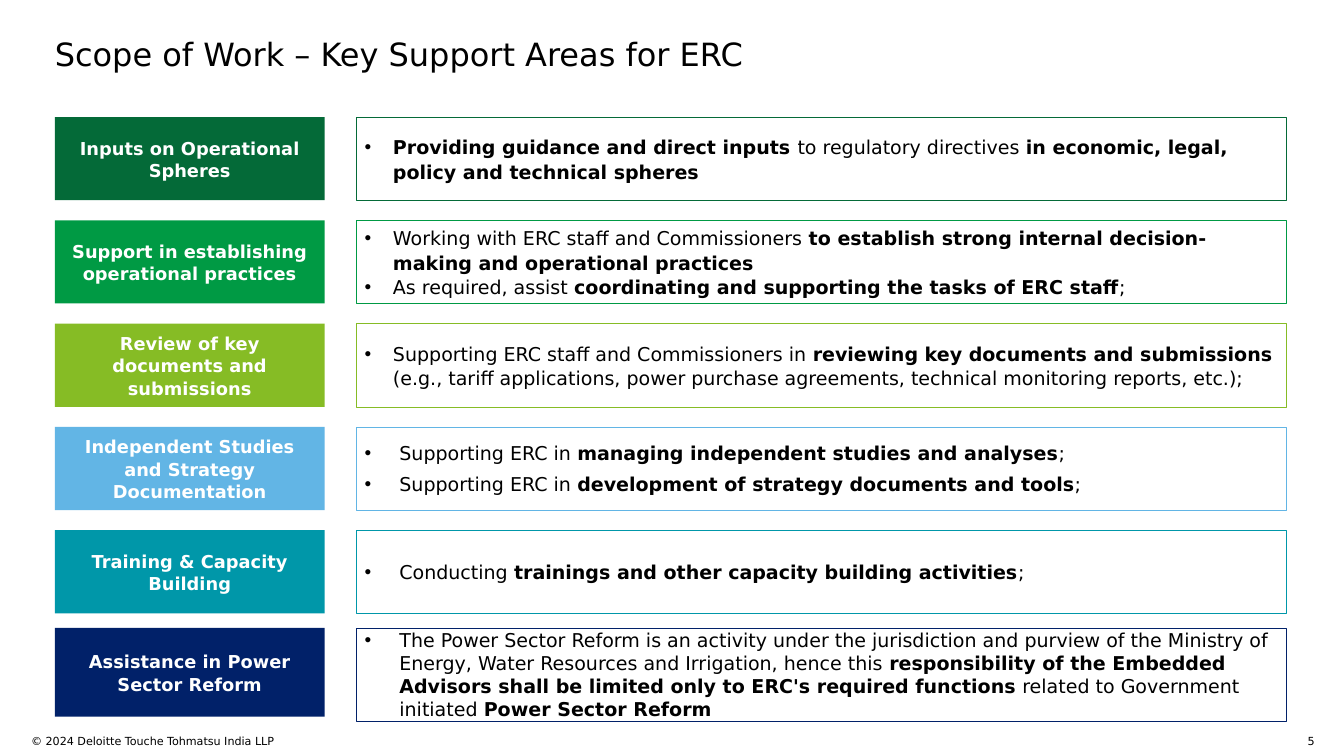
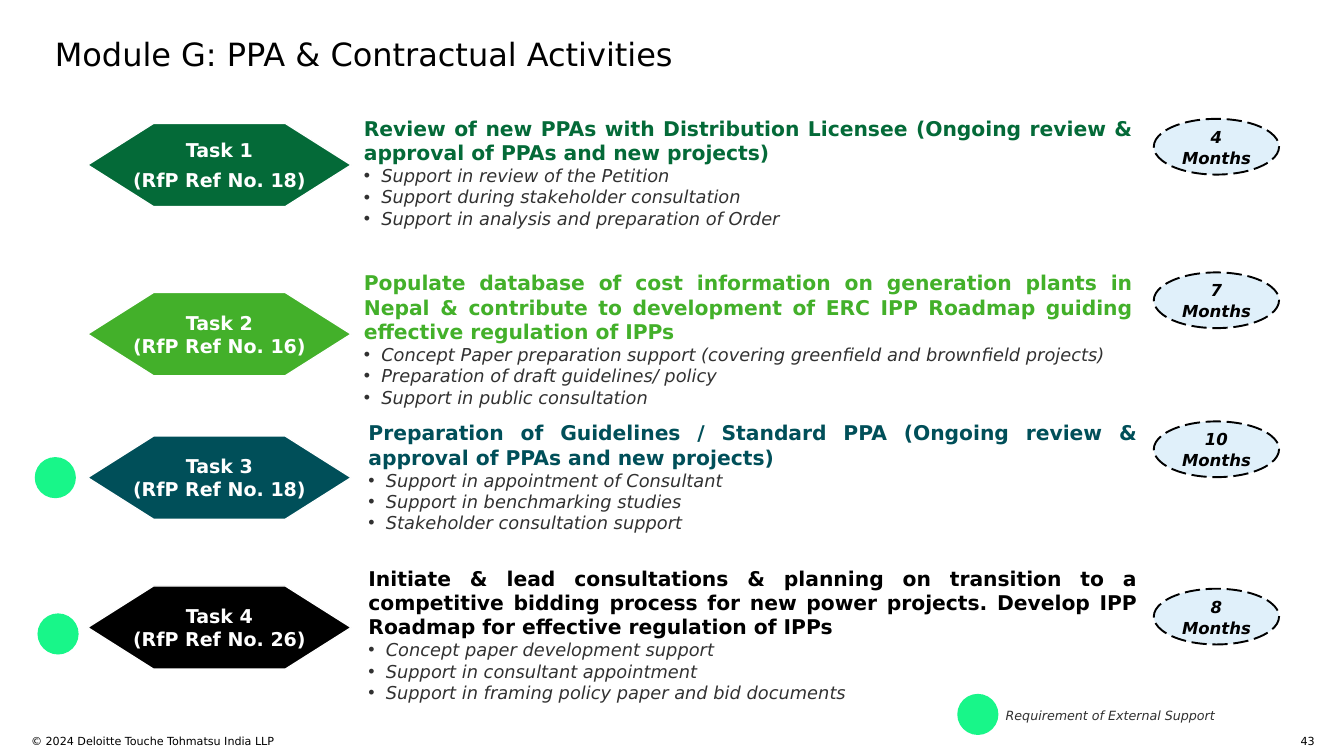
from lxml import etree
from pptx import Presentation
from pptx.dml.color import RGBColor
from pptx.enum.dml import MSO_LINE
from pptx.enum.shapes import MSO_SHAPE
from pptx.enum.text import MSO_ANCHOR, PP_ALIGN
from pptx.oxml.ns import qn
from pptx.util import Inches, Pt

RECTANGLE, ELLIPSE = MSO_SHAPE.RECTANGLE, MSO_SHAPE.OVAL
LONG_DASH = MSO_LINE.LONG_DASH
TOP, MIDDLE = MSO_ANCHOR.TOP, MSO_ANCHOR.MIDDLE
LEFT, CENTER, RIGHT, JUSTIFY = PP_ALIGN.LEFT, PP_ALIGN.CENTER, PP_ALIGN.RIGHT, PP_ALIGN.JUSTIFY

BLACK = RGBColor(0x00, 0x00, 0x00)
WHITE = RGBColor(0xFF, 0xFF, 0xFF)
CHARCOAL = RGBColor(0x31, 0x31, 0x31)
FOREST = RGBColor(0x04, 0x6A, 0x38)
GREEN = RGBColor(0x00, 0x9A, 0x44)
LIME = RGBColor(0x86, 0xBC, 0x25)
SKY = RGBColor(0x62, 0xB5, 0xE5)
TEAL = RGBColor(0x00, 0x97, 0xA9)
NAVY = RGBColor(0x01, 0x21, 0x69)
LEAF = RGBColor(0x43, 0xB0, 0x2A)
PETROL = RGBColor(0x00, 0x4F, 0x59)
PALE_BLUE = RGBColor(0xE0, 0xF0, 0xFA)
MINT = RGBColor(0x18, 0xF6, 0x89)

FONT = "DejaVu Sans"
SLIDE_W, SLIDE_H = 14.7, 8.27
MARGIN = 0.6
FOOTER_TOP = 8.03
COPYRIGHT = "© 2024 Deloitte Touche Tohmatsu India LLP"

AREA_LABEL_W = 2.95
AREA_DETAIL_LEFT, AREA_DETAIL_W = 3.89, 10.18
AREA_TOP, AREA_PITCH, AREA_H = 1.28, 1.13, 0.91
REFORM_TOP, REFORM_LABEL_H, REFORM_DETAIL_H = 6.87, 0.97, 1.02

TASK_LEFT, TASK_W, TASK_H = 0.96, 2.88, 0.91
HEXAGON = [(0.25, 1), (0, 0.5), (0.25, 0), (0.75, 0), (1, 0.5), (0.75, 1)]
ACTIVITY_W = 8.41
DURATION_LEFT, DURATION_W, DURATION_H = 12.62, 1.37, 0.61
MARKER_SIZE = 0.45

AREAS = [
    (FOREST, "Inputs on Operational Spheres", False, [
        "|Providing guidance and direct inputs |to regulatory directives "
        "|in economic, legal, policy and technical spheres"]),
    (GREEN, "Support in establishing operational practices", False, [
        "Working with ERC staff and Commissioners "
        "|to establish strong internal decision-making and operational practices",
        "As required, assist |coordinating and supporting the tasks of ERC staff|;"]),
    (LIME, "Review of key documents and submissions", False, [
        "Supporting ERC staff and Commissioners in |reviewing key documents and submissions "
        "|(e.g., tariff applications, power purchase agreements, "
        "technical monitoring reports, etc.);"]),
    (SKY, "Independent Studies and Strategy Documentation", True, [
        "Supporting ERC in |managing independent studies and analyses|;",
        "Supporting ERC in |development of strategy documents and tools|;"]),
    (TEAL, "Training & Capacity Building", True, [
        "Conducting |trainings and other capacity building activities|;"]),
]
REFORM_AREA = (NAVY, "Assistance in Power Sector Reform", True, [
    "The Power Sector Reform is an activity under the jurisdiction and purview of the Ministry "
    "of Energy, Water Resources and Irrigation, hence this "
    "|responsibility of the Embedded Advisors shall be limited only to ERC's required functions"
    "| related to Government initiated |Power Sector Reform"])

TASKS = [
    (FOREST, ("Task 1", "(RfP Ref No. 18)"), 1.35, 6, "4 Months", 1.3, (3.98, 1.27),
     "Review of new PPAs with Distribution Licensee "
     "(Ongoing review & approval of PPAs and new projects)",
     ["Support in review of the Petition",
      "Support during stakeholder consultation",
      "Support in analysis and preparation of Order"]),
    (LEAF, ("Task 2", "(RfP Ref No. 16)"), 3.2, 0, "7 Months", 2.98, (3.98, 2.96),
     "Populate database of cost information on generation plants in Nepal & contribute to "
     "development of ERC IPP Roadmap guiding effective regulation of IPPs",
     ["Concept Paper preparation support (covering greenfield and brownfield projects)",
      "Preparation of draft guidelines/ policy",
      "Support in public consultation"]),
    (PETROL, ("Task 3", "(RfP Ref No. 18)"), 4.77, 0, "10 Months", 4.61, (4.03, 4.6),
     "Preparation of Guidelines / Standard PPA "
     "(Ongoing review & approval of PPAs and new projects)",
     ["Support in appointment of Consultant",
      "Support in benchmarking studies",
      "Stakeholder consultation support"]),
    (BLACK, ("Task 4", "(RfP Ref No. 26)"), 6.41, 0, "8 Months", 6.44, (4.03, 6.19),
     "Initiate & lead consultations & planning on transition to a competitive bidding process "
     "for new power projects. Develop IPP Roadmap for effective regulation of IPPs",
     ["Concept paper development support",
      "Support in consultant appointment",
      "Support in framing policy paper and bid documents"]),
]
SUPPORT_MARKERS = [(0.38, 5), (0.41, 6.71), (10.47, 7.59)]


def prepare_frame(shape, anchor=TOP, inset_x=0, inset_y=0):
    frame = shape.text_frame
    frame.word_wrap = True
    frame.vertical_anchor = anchor
    frame.margin_left = frame.margin_right = Inches(inset_x)
    frame.margin_top = frame.margin_bottom = Inches(inset_y)
    return frame


def next_paragraph(frame, align=LEFT, spacing=None, before=0, after=0):
    first = frame.paragraphs[0]
    paragraph = frame.add_paragraph() if first.runs else first
    paragraph.alignment = align
    if spacing:
        paragraph.line_spacing = spacing
    paragraph.space_before = Pt(before)
    paragraph.space_after = Pt(after)
    return paragraph


def add_bullet(paragraph, indent):
    properties = paragraph._p.get_or_add_pPr()
    properties.set("marL", str(Inches(indent)))
    properties.set("indent", str(-Inches(indent)))
    etree.SubElement(properties, qn("a:buFont")).set("typeface", "Arial")
    etree.SubElement(properties, qn("a:buChar")).set("char", "•")


def add_run(paragraph, text, size, color=BLACK, bold=False, italic=False):
    run = paragraph.add_run()
    run.text = text
    font = run.font
    font.name, font.size = FONT, Pt(size)
    font.bold, font.italic = bold, italic
    font.color.rgb = color


def style_shape(shape, fill=None, line=None, weight=1):
    shape.shadow.inherit = False
    if fill is None:
        shape.fill.background()
    else:
        shape.fill.solid()
        shape.fill.fore_color.rgb = fill
    if line is None:
        shape.line.fill.background()
    else:
        shape.line.color.rgb = line
        shape.line.width = Pt(weight)
    return shape


def add_preset(slide, preset, left, top, width, height, **style):
    box = (Inches(length) for length in (left, top, width, height))
    return style_shape(slide.shapes.add_shape(preset, *box), **style)


def add_text_frame(slide, left, top, width, height):
    box = (Inches(length) for length in (left, top, width, height))
    return prepare_frame(slide.shapes.add_textbox(*box))


def add_line_of_text(slide, box, text, size, align=LEFT, **font):
    frame = add_text_frame(slide, *box)
    add_run(next_paragraph(frame, align), text, size, **font)


def add_base_slide(deck, title, number):
    slide = deck.slides.add_slide(deck.slide_layouts[6])
    add_line_of_text(slide, (MARGIN, 0.38, 13.46, 0.4), title, 25.2)
    add_line_of_text(slide, (0.34, FOOTER_TOP, 6.46, 0.24), COPYRIGHT, 8.8)
    add_line_of_text(slide, (14.01, FOOTER_TOP, 0.37, 0.12), number, 8.8, RIGHT)
    return slide


def add_area(slide, area, top, label_h=AREA_H, detail_h=AREA_H):
    accent, name, loose, details = area
    label = add_preset(slide, RECTANGLE, MARGIN, top, AREA_LABEL_W, label_h, fill=accent)
    frame = prepare_frame(label, MIDDLE, 0.1, 0.1)
    add_run(next_paragraph(frame, CENTER, 1.06), name, 14, WHITE, bold=True)

    panel = add_preset(slide, RECTANGLE, AREA_DETAIL_LEFT, top, AREA_DETAIL_W, detail_h,
                       line=accent, weight=0.25)
    frame = prepare_frame(panel, MIDDLE, 0.1, 0.1)
    for detail in details:
        paragraph = next_paragraph(frame, spacing=None if loose else 1.06,
                                   after=6 if loose else 0)
        add_bullet(paragraph, 0.38 if loose else 0.31)
        for index, part in enumerate(detail.split("|")):
            if part:
                add_run(paragraph, part, 15, bold=index % 2 == 1)


def add_task_hexagon(slide, accent, lines, top, line_gap):
    points = [(Inches(TASK_LEFT + x * TASK_W), Inches(top + y * TASK_H)) for x, y in HEXAGON]
    builder = slide.shapes.build_freeform(*points[0])
    builder.add_line_segments(points[1:], close=True)
    hexagon = style_shape(builder.convert_to_shape(), fill=accent, line=WHITE)
    frame = prepare_frame(hexagon, MIDDLE, 0.1, 0.05)
    for index, line in enumerate(lines):
        paragraph = next_paragraph(frame, CENTER, before=line_gap if index else 0)
        add_run(paragraph, line, 15, WHITE, bold=True)


def add_activities(slide, position, accent, heading, activities):
    frame = add_text_frame(slide, *position, ACTIVITY_W, 1.25)
    add_run(next_paragraph(frame, JUSTIFY), heading, 16, accent, bold=True)
    for activity in activities:
        paragraph = next_paragraph(frame, JUSTIFY)
        add_bullet(paragraph, 0.19)
        add_run(paragraph, activity, 14, CHARCOAL, italic=True)


def add_duration(slide, top, duration):
    badge = add_preset(slide, ELLIPSE, DURATION_LEFT, top, DURATION_W, DURATION_H,
                       fill=PALE_BLUE, line=BLACK, weight=1.5)
    badge.line.dash_style = LONG_DASH
    frame = prepare_frame(badge, MIDDLE, 0.1, 0.1)
    add_run(next_paragraph(frame, CENTER, 1.06), duration, 13, bold=True, italic=True)


def build_scope_slide(deck):
    slide = add_base_slide(deck, "Scope of Work – Key Support Areas for ERC", "5")
    for row, area in enumerate(AREAS):
        add_area(slide, area, AREA_TOP + row * AREA_PITCH)
    add_area(slide, REFORM_AREA, REFORM_TOP, REFORM_LABEL_H, REFORM_DETAIL_H)


def build_module_slide(deck):
    slide = add_base_slide(deck, "Module G: PPA & Contractual Activities", "43")
    for (accent, lines, task_top, line_gap, duration, duration_top,
         position, heading, activities) in TASKS:
        add_task_hexagon(slide, accent, lines, task_top, line_gap)
        add_activities(slide, position, accent, heading, activities)
        add_duration(slide, duration_top, duration)
    for left, top in SUPPORT_MARKERS:
        add_preset(slide, ELLIPSE, left, top, MARKER_SIZE, MARKER_SIZE, fill=MINT)
    add_line_of_text(slide, (11, 7.74, 2.84, 0.17), "Requirement of External Support", 10,
                     color=CHARCOAL, italic=True)


def main():
    deck = Presentation()
    deck.slide_width, deck.slide_height = Inches(SLIDE_W), Inches(SLIDE_H)
    build_scope_slide(deck)
    build_module_slide(deck)
    deck.save("out.pptx")


if __name__ == "__main__":
    main()
